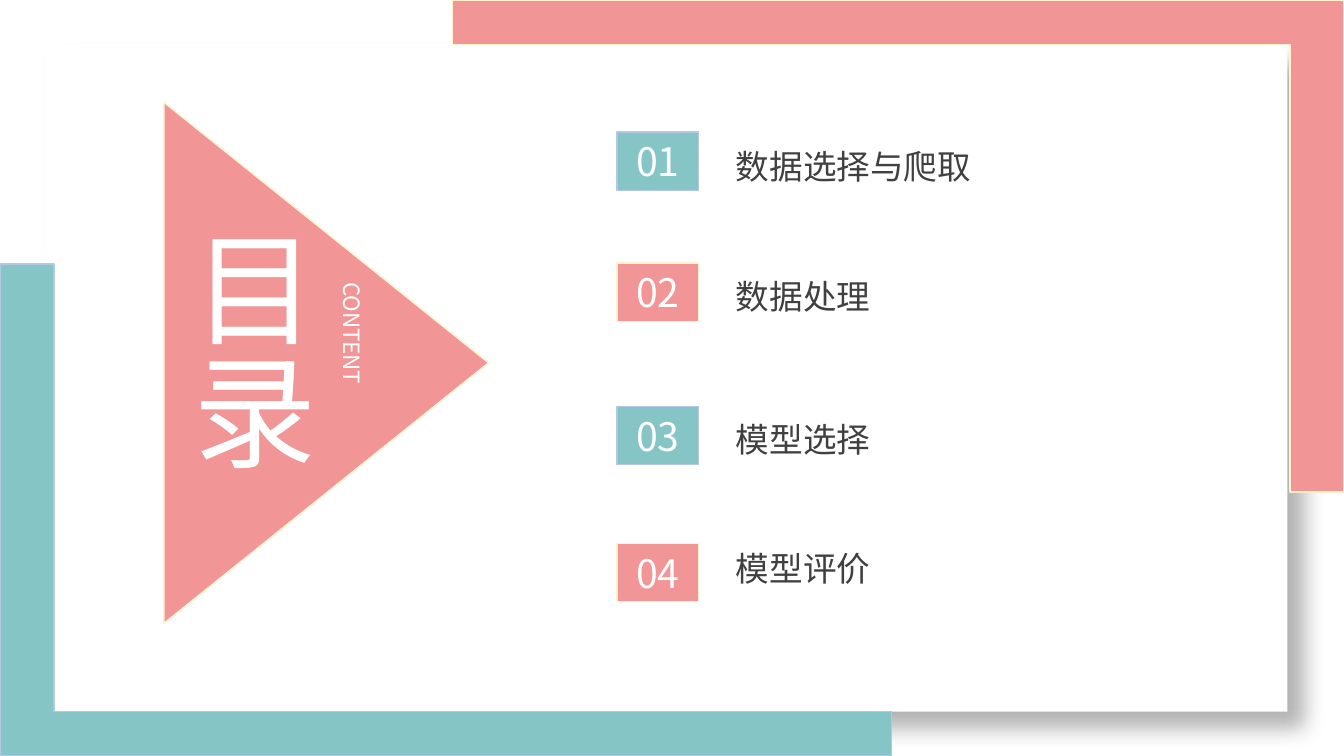
from lxml.etree import SubElement as Sub
from pptx import Presentation
from pptx.dml.color import RGBColor
from pptx.enum.shapes import MSO_SHAPE as Kind
from pptx.enum.text import MSO_ANCHOR as Anchor, MSO_AUTO_SIZE as Fit, PP_ALIGN as Align
from pptx.oxml.ns import qn
from pptx.util import Inches, Pt

WIDE, HIGH = Inches(13.33), Inches(7.5)
FONT = "Noto Sans CJK SC"
HUES = {
    "white": "FFFFFF", "black": "000000", "ink": "404040",
    "teal": "86C5C5", "blue": "B4C7E7", "pink": "F19596", "cream": "FFF2CC",
}
EDGES = {"teal": "blue", "pink": "cream"}
TOPICS = [
    ("数据选择与爬取", 17.47, 18.67),
    ("数据处理", 34.8, 35.87),
    ("模型选择", 53.73, 54.8),
    ("模型评价", 71.87, 71.87),
]


def tint(name):
    """Return the named colour."""
    return RGBColor.from_string(HUES[name])


def area(x, y, w, h):
    """Turn percent shares of the slide into lengths."""
    return [round(side * part / 100) for side, part in zip((WIDE, HIGH) * 2, (x, y, w, h))]


def block(slide, kind, box, hue, turn=0):
    """Add a flat shape with the edge that suits its fill."""
    shape = slide.shapes.add_shape(kind, *area(*box))
    shape.shadow.inherit = False
    shape.rotation = turn
    shape.fill.solid()
    shape.fill.fore_color.rgb = tint(hue)
    if hue in EDGES:
        shape.line.color.rgb = tint(EDGES[hue])
        shape.line.width = Pt(1)
    else:
        shape.line.fill.background()
    return shape


def shade(shape):
    """Cast a soft shadow to the lower right."""
    glow = Sub(shape.element.spPr.find(qn("a:effectLst")), qn("a:outerShdw"),
               blurRad=str(Pt(15)), dist=str(Pt(18)), dir="2700000",
               algn="tl", rotWithShape="0")
    tone = Sub(glow, qn("a:srgbClr"), val=HUES["black"])
    Sub(tone, qn("a:alpha"), val="30000")


def bend(shape, *arms):
    """Make a rectangle an L with the given arm shares."""
    geom = shape.element.spPr.find(qn("a:prstGeom"))
    geom.set("prst", "corner")
    for num, arm in enumerate(arms, 1):
        Sub(geom.find(qn("a:avLst")), qn("a:gd"), name=f"adj{num}", fmla=f"val {arm * 1000}")


def write(shape, text, size, hue="white", align=Align.LEFT, anchor=Anchor.TOP):
    """Set and format the one line of a shape."""
    frame = shape.text_frame
    frame.text = text
    frame.word_wrap = True
    frame.auto_size = Fit.NONE
    frame.vertical_anchor = anchor
    line = frame.paragraphs[0]
    line.alignment = align
    font = line.runs[0].font
    font.name, font.size = FONT, Pt(size)
    font.color.rgb = tint(hue)
    Sub(font._element, qn("a:ea"), typeface=FONT)


def stand(shape, text, size):
    """Write white text that runs downward."""
    write(shape, text, size, align=Align.JUSTIFY)
    shape.text_frame.paragraphs[0].line_spacing = 1.5
    shape.text_frame._txBody.bodyPr.set("vert", "eaVert")


def frame(slide):
    """Draw the white card and its two corner bands."""
    shade(block(slide, Kind.RECTANGLE, (3.38, 5.87, 92.42, 88.27), "white"))
    w, h = 66.32, 65.07
    for hue, x, y, turn in (("teal", 0, 100 - h, 0), ("pink", 100 - w, 0, 180)):
        bend(block(slide, Kind.RECTANGLE, (x, y, w, h), hue, turn), 9, 11)


def head(slide):
    """Draw the triangle with the title and its side note."""
    block(slide, Kind.FLOWCHART_EXTRACT, (4.88, 26.53, 38.78, 42.93), "pink", 90)
    title = slide.shapes.title
    title.left, title.top, title.width, title.height = area(12.23, 29.33, 18.15, 37.47)
    slide.shapes._spTree.append(title.element)
    stand(title, "目录", 88)
    note = slide.shapes.add_textbox(*area(24.01, 36, 4.58, 24.4))
    stand(note, "CONTENT", 16)


def topic(slide, num, text, top, base):
    """Add a numbered badge and its label."""
    hue = "teal" if num % 2 else "pink"
    badge = block(slide, Kind.RECTANGLE, (45.91, top, 6.08, 7.73), hue)
    write(badge, f"{num:02}", 28, align=Align.CENTER, anchor=Anchor.MIDDLE)
    label = slide.shapes.add_textbox(*area(54.01, base, 24.53, 6.67))
    write(label, text, 24, "ink")


def main():
    """Build the contents slide and save it."""
    deck = Presentation()
    deck.slide_width, deck.slide_height = WIDE, HIGH
    slide = deck.slides.add_slide(deck.slide_layouts.get_by_name("Title Only"))
    frame(slide)
    head(slide)
    for num, item in enumerate(TOPICS, 1):
        topic(slide, num, *item)
    deck.save("out.pptx")


if __name__ == "__main__":
    main()
